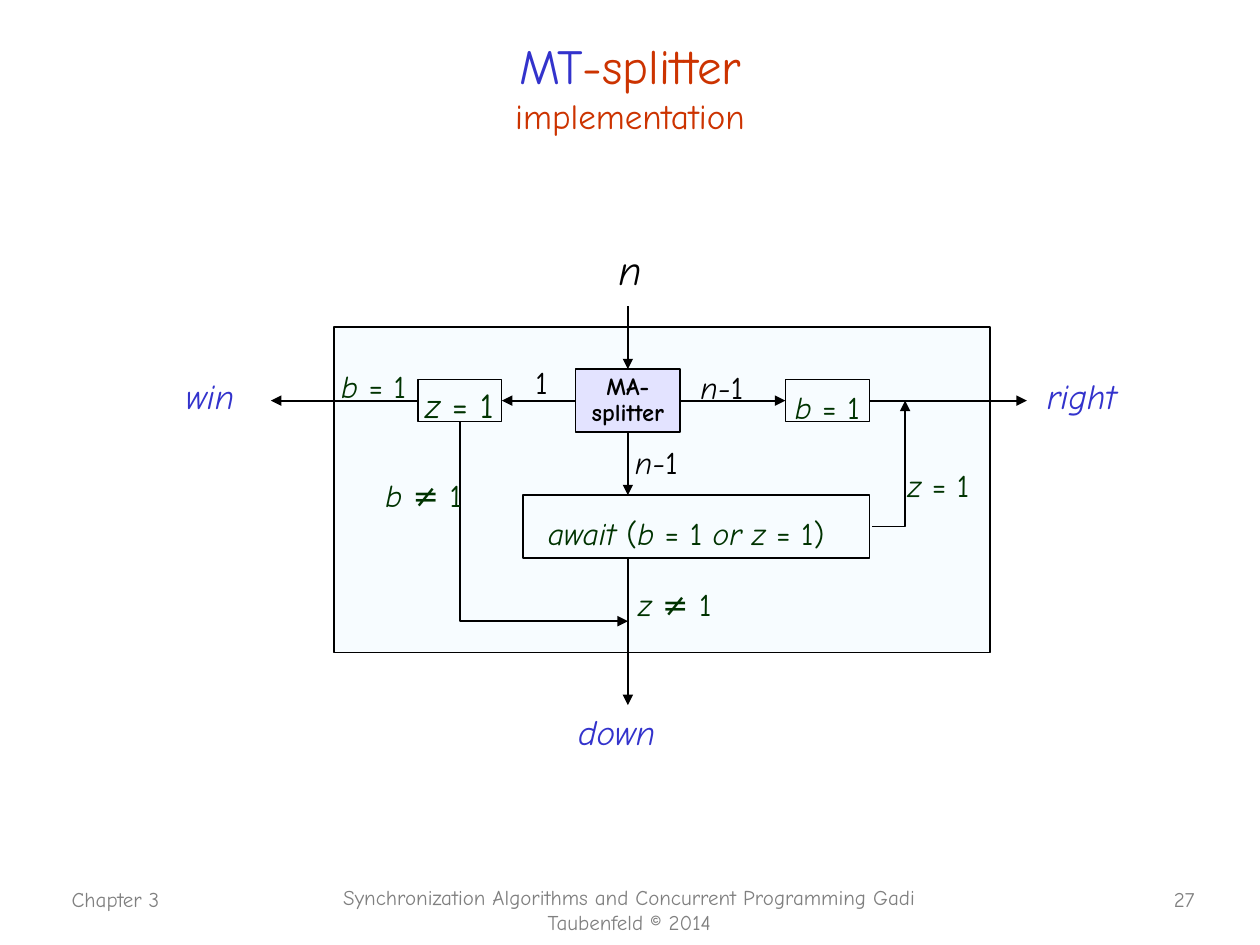
from lxml.etree import SubElement
from pptx import Presentation
from pptx.dml.color import RGBColor
from pptx.enum.shapes import MSO_CONNECTOR, MSO_SHAPE
from pptx.enum.text import MSO_ANCHOR, MSO_AUTO_SIZE, PP_ALIGN
from pptx.oxml.ns import qn
from pptx.util import Inches, Pt

FONT = "Comic Neue"
COLORS = {"black": "000000", "blue": "3333CC", "red": "CC3300", "green": "003300",
          "gray": "808080", "frame": "F7FCFF", "lavender": "E3E3FF"}

# The diagram sits on a grid of twelfths of an inch from this corner.
ORIGIN_X, ORIGIN_Y, UNIT = 2.15, 2.43, 1 / 12
TOP, LEFT, BOTTOM, RIGHT = 0, 1, 2, 3

# name: column, row, columns wide, rows high, fill, line width
BOXES = {
    "frame": (6, 2, 62.5, 31, "frame", 1),
    "splitter": (29, 6, 10, 6, "lavender", 1),
    "set z": (14, 7, 8, 4, None, 0.75),
    "set b": (49, 7, 8, 4, None, 0.75),
    "await": (24, 18, 33, 6, None, 0.75),
}
# start and end: a grid point or a (box name, side) pair
ARROWS = [
    ((34, 0), ("splitter", TOP)),
    (("splitter", BOTTOM), (34, 18)),
    (("splitter", RIGHT), ("set b", LEFT)),
    (("splitter", LEFT), ("set z", RIGHT)),
    (("set z", LEFT), (0, 9)),
    (("set b", RIGHT), (72, 9)),
    ((34, 24), (34, 38)),
]
BENT_ARROWS = [
    [(57.25, 21), (60.4, 21), (60.4, 9)],
    [(18, 11), (18, 30), (34, 30)],
]
# text with *italic* parts, left, top, width, height, size, color
LABELS = [
    ("*await *(*b *= 1* or z *= 1)", 4.25, 3.88, 2.58, 0.55, 18, "green"),
    ("*z *= 1", 3.28, 2.83, 0.92, 0.6, 20, "green"),
    ("*b *= 1", 6.21, 2.88, 1.42, 0.55, 18, "green"),
    ("*z *= 1", 7.11, 3.5, 0.85, 0.55, 18, "green"),
    ("*z *≠ 1", 4.97, 4.44, 0.85, 0.55, 18, "green"),
    ("*b *≠ 1", 2.96, 3.58, 0.85, 0.55, 18, "green"),
    ("*b *= 1", 2.61, 2.71, 0.85, 0.55, 18, "green"),
    ("1", 4.15, 2.68, 0.33, 0.55, 18, "black"),
    ("*n-*1", 5.46, 2.72, 0.75, 0.55, 18, "black"),
    ("*n-*1", 4.94, 3.32, 0.75, 0.55, 18, "black"),
    ("*n*", 4.81, 1.68, 0.33, 0.7, 24, "black"),
    ("*right*", 8.21, 2.76, 1.17, 0.6, 20, "blue"),
    ("*win*", 1.38, 2.76, 1.17, 0.6, 20, "blue"),
    ("*down*", 4.49, 5.42, 1.17, 0.6, 20, "blue"),
]
FOOTERS = [
    ("Chapter 3", 0.47, 6.99, 2.08, 0.5, PP_ALIGN.LEFT),
    ("Synchronization Algorithms and Concurrent Programming Gadi Taubenfeld © 2014",
     2.58, 6.97, 4.83, 0.5, PP_ALIGN.CENTER),
    ("27", 9.11, 6.99, 0.47, 0.3, PP_ALIGN.RIGHT),
]
TITLE = [
    [("MT", 28, "blue"), ("-splitter", 28, "red")],
    [("implementation", 20, "red")],
]


def rgb(name):
    return RGBColor.from_string(COLORS[name])


def grid_point(column, row):
    return Inches(ORIGIN_X + column * UNIT), Inches(ORIGIN_Y + row * UNIT)


def add_run(paragraph, text, size, color, bold=False, italic=False):
    run = paragraph.add_run()
    run.text = text
    font = run.font
    font.name, font.size, font.bold, font.italic = FONT, Pt(size), bold, italic
    font.color.rgb = rgb(color)


def add_text(slide, marked, left, top, width, height, size, color,
             align=PP_ALIGN.LEFT, spacing=1.0):
    """Add a text box; parts between asterisks are italic."""
    box = slide.shapes.add_textbox(*map(Inches, (left, top, width, height)))
    box.text_frame.word_wrap = True
    paragraph = box.text_frame.paragraphs[0]
    paragraph.alignment, paragraph.line_spacing = align, spacing
    for index, part in enumerate(marked.split("*")):
        if part:
            add_run(paragraph, part, size, color, italic=index % 2 == 1)


def style_arrow(shape):
    shape.line.color.rgb = rgb("black")
    shape.line.width = Pt(1)
    SubElement(shape.line._get_or_add_ln(), qn("a:tailEnd"), type="triangle")


def add_box(slide, column, row, columns, rows, fill, line_width):
    box = slide.shapes.add_shape(MSO_SHAPE.RECTANGLE, *grid_point(column, row),
                                 Inches(columns * UNIT), Inches(rows * UNIT))
    box.shadow.inherit = False
    if fill:
        box.fill.solid()
        box.fill.fore_color.rgb = rgb(fill)
    else:
        box.fill.background()
    box.line.color.rgb = rgb("black")
    box.line.width = Pt(line_width)
    return box


def add_arrow(slide, boxes, start, end):
    points = [(0, 0) if point[0] in boxes else grid_point(*point) for point in (start, end)]
    arrow = slide.shapes.add_connector(MSO_CONNECTOR.STRAIGHT, *points[0], *points[1])
    for point, connect in ((start, arrow.begin_connect), (end, arrow.end_connect)):
        if point[0] in boxes:
            connect(boxes[point[0]], point[1])
    style_arrow(arrow)
    SubElement(arrow._element.spPr, qn("a:effectLst"))


def add_bent_arrow(slide, points):
    first, *others = [grid_point(*point) for point in points]
    builder = slide.shapes.build_freeform(*first)
    builder.add_line_segments(others, close=False)
    shape = builder.convert_to_shape()
    shape.shadow.inherit = False
    shape.fill.background()
    style_arrow(shape)


def fill_title(title):
    title.left, title.top, title.width, title.height = map(Inches, (0.75, 0.22, 8.5, 0.92))
    frame = title.text_frame
    frame.auto_size, frame.vertical_anchor = MSO_AUTO_SIZE.NONE, MSO_ANCHOR.MIDDLE
    for index, runs in enumerate(TITLE):
        paragraph = frame.add_paragraph() if index else frame.paragraphs[0]
        paragraph.alignment = PP_ALIGN.CENTER
        for text, size, color in runs:
            add_run(paragraph, text, size, color)


def label_splitter(box):
    frame = box.text_frame
    frame.word_wrap, frame.vertical_anchor = False, MSO_ANCHOR.MIDDLE
    for index, text in enumerate(("MA-", "splitter")):
        paragraph = frame.add_paragraph() if index else frame.paragraphs[0]
        paragraph.alignment, paragraph.line_spacing = PP_ALIGN.CENTER, 0.9
        add_run(paragraph, text, 14, "black", bold=True)


def main():
    presentation = Presentation()
    presentation.slide_width, presentation.slide_height = Inches(10), Inches(7.5)
    slide = presentation.slides.add_slide(presentation.slide_layouts[5])
    fill_title(slide.shapes.title)
    boxes = {name: add_box(slide, *spec) for name, spec in BOXES.items()}
    label_splitter(boxes["splitter"])
    for start, end in ARROWS:
        add_arrow(slide, boxes, start, end)
    for points in BENT_ARROWS:
        add_bent_arrow(slide, points)
    for label in LABELS:
        add_text(slide, *label, spacing=1.5)
    for text, left, top, width, height, align in FOOTERS:
        add_text(slide, text, left, top, width, height, 12, "gray", align)
    presentation.save("out.pptx")


if __name__ == "__main__":
    main()
